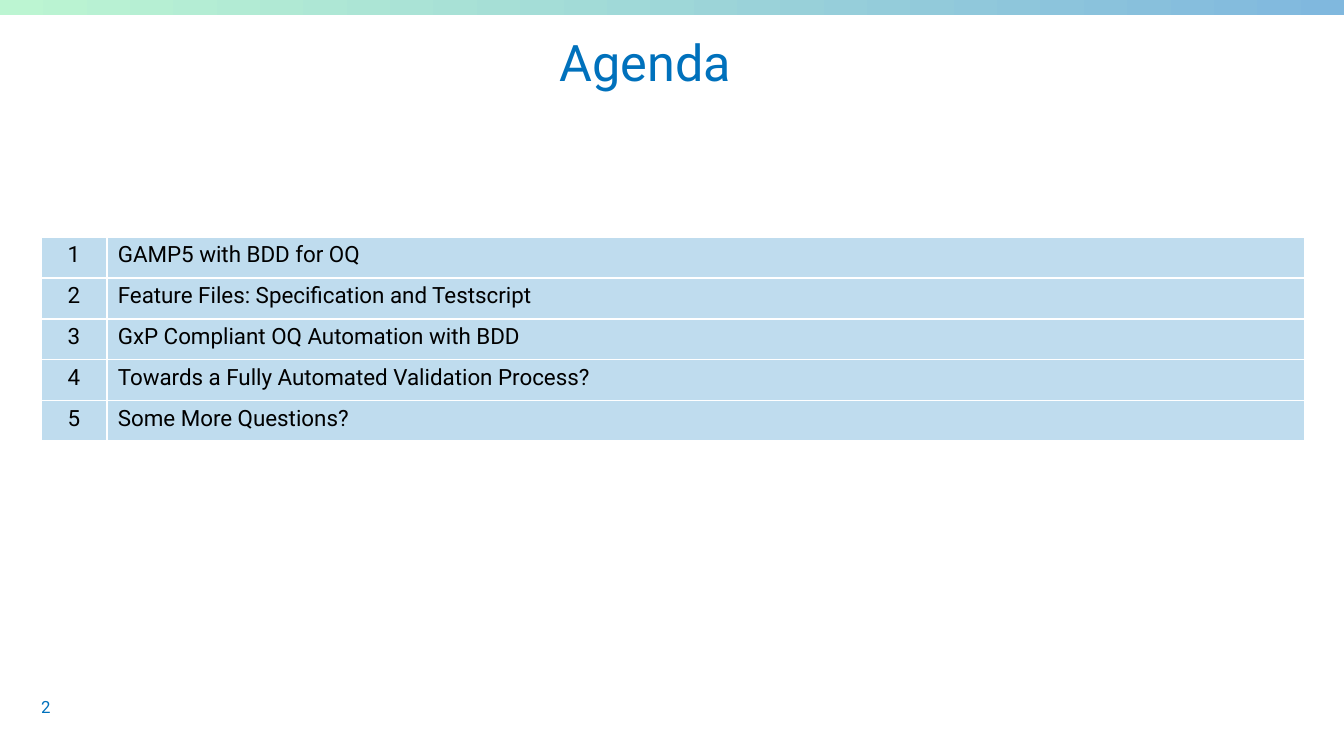
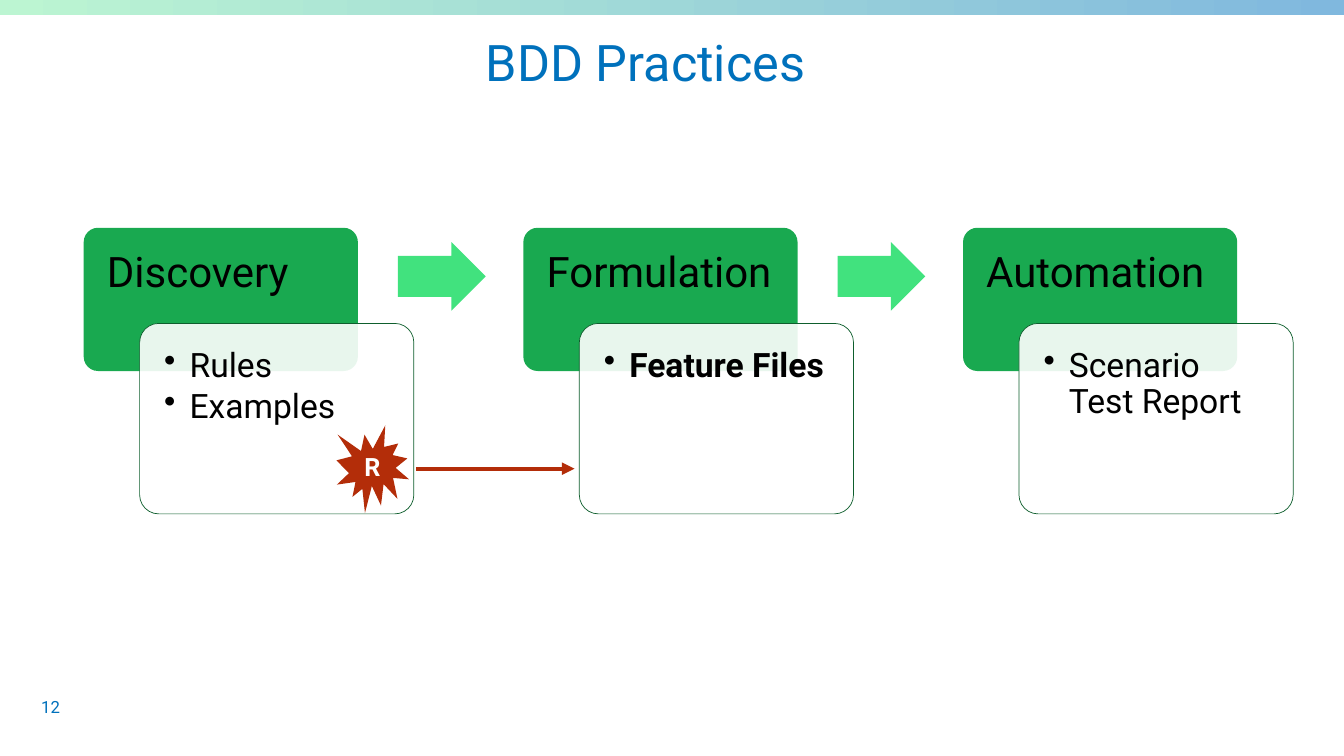
import dataclasses
from typing import Any

import lxml.etree
import pptx
import pptx.dml.color
import pptx.enum.shapes
import pptx.enum.text
import pptx.oxml.ns
import pptx.util

Cm = pptx.util.Cm
Pt = pptx.util.Pt
qn = pptx.oxml.ns.qn
SHAPE = pptx.enum.shapes.MSO_SHAPE
ALIGN = pptx.enum.text.PP_ALIGN
ANCHOR = pptx.enum.text.MSO_ANCHOR

FONT = "Roboto"
BLUE, BLACK, WHITE = "0071BC", "000000", "FFFFFF"
BAND_START, BAND_END = "BCF5D2", "80B8DE"
ROW_FILL = "BFDCEE"
GREEN, LIGHT_GREEN, DARK_GREEN = "19A950", "41E27E", "0E5E2D"
RED = "B32D09"

SLIDE_W, SLIDE_H = 33.87, 19.05
STAGE_LEFT, STAGE_TOP, STAGE_PITCH = 2.11, 5.74, 11.08
STAGE_W, HEAD_H, CARD_H = 6.91, 3.61, 4.8
CARD_DX, CARD_DY = 1.41, 2.41
ARROW_DX, ARROW_DY = 7.92, 0.36


@dataclasses.dataclass(frozen=True)
class Box:
    """Position and size in centimetres."""
    left: float
    top: float
    width: float
    height: float

    def lengths(self) -> tuple:
        return tuple(Cm(v) for v in dataclasses.astuple(self))


@dataclasses.dataclass(frozen=True)
class Stage:
    name: str
    results: tuple[str, ...]
    bold: bool = False


AGENDA = (
    "GAMP5 with BDD for OQ",
    "Feature Files: Specification and Testscript",
    "GxP Compliant OQ Automation with BDD",
    "Towards a Fully Automated Validation Process?",
    "Some More Questions?",
)
STAGES = (
    Stage("Discovery", ("Rules", "Examples")),
    Stage("Formulation", ("Feature Files",), bold=True),
    Stage("Automation", ("Scenario Test Report",)),
)


def rgb(color: str) -> pptx.dml.color.RGBColor:
    return pptx.dml.color.RGBColor.from_string(color)


def write(tf: Any, text: str, size: float, color: str = BLACK, bold: bool = False,
          align: Any = ALIGN.LEFT, spacing: float = 1.0) -> None:
    """Set the text of a frame, one paragraph per line, in one style."""
    tf.text = text
    for p in tf.paragraphs:
        p.alignment = align
        p.line_spacing = spacing
        for r in p.runs:
            r.font.name = FONT
            r.font.size = Pt(size)
            r.font.bold = bold
            r.font.color.rgb = rgb(color)


def set_frame(tf: Any, margin: float, anchor: Any = ANCHOR.TOP) -> None:
    tf.word_wrap = True
    tf.vertical_anchor = anchor
    tf.margin_left = tf.margin_top = tf.margin_right = tf.margin_bottom = Cm(margin)


def add_label(s: Any, box: Box, text: str, size: float, **style: Any) -> Any:
    """Add a blue text box without margins and return its text frame."""
    tf = s.shapes.add_textbox(*box.lengths()).text_frame
    set_frame(tf, 0)
    write(tf, text, size, BLUE, **style)
    return tf


def add_plain_shape(s: Any, kind: Any, box: Box, fill: str) -> Any:
    sp = s.shapes.add_shape(kind, *box.lengths())
    sp.shadow.inherit = False
    sp.line.fill.background()
    sp.fill.solid()
    sp.fill.fore_color.rgb = rgb(fill)
    return sp


def add_slide(prs: Any, title: str, number: int) -> Any:
    """Add a slide with the gradient band, the title and the page number."""
    s = prs.slides.add_slide(prs.slide_layouts[6])
    band = add_plain_shape(s, SHAPE.RECTANGLE, Box(0, 0, SLIDE_W, 0.38), BAND_START)
    band.fill.gradient()
    band.fill.gradient_angle = 0
    for stop, color in zip(band.fill.gradient_stops, (BAND_START, BAND_END)):
        stop.color.rgb = rgb(color)
    tf = add_label(s, Box(1.02, 0.76, 30.5, 1.78), title, 36,
                   align=ALIGN.CENTER, spacing=0.9)
    tf.vertical_anchor = ANCHOR.MIDDLE
    add_label(s, Box(1.04, 17.55, 2.08, 0.41), str(number), 12)
    return s


def add_borders(cell: Any, color: str, width: float) -> None:
    tc_pr = cell._tc.get_or_add_tcPr()
    for side in ("a:lnL", "a:lnR", "a:lnT", "a:lnB"):
        ln = lxml.etree.SubElement(tc_pr, qn(side), w=str(Pt(width)))
        fill = lxml.etree.SubElement(ln, qn("a:solidFill"))
        lxml.etree.SubElement(fill, qn("a:srgbClr"), val=color)


def add_agenda(s: Any, items: tuple[str, ...]) -> None:
    widths, row_h = (1.65, 30.2), 1.03
    box = Box(1.04, 5.97, sum(widths), row_h * len(items))
    table = s.shapes.add_table(len(items), len(widths), *box.lengths()).table
    table.first_row = table.horz_banding = False
    for column, width in zip(table.columns, widths):
        column.width = Cm(width)
    for i, item in enumerate(items):
        table.rows[i].height = Cm(row_h)
        for j, (text, align) in enumerate(((str(i + 1), ALIGN.CENTER), (item, ALIGN.LEFT))):
            cell = table.cell(i, j)
            cell.margin_left = cell.margin_right = Cm(0.28)
            cell.margin_top = cell.margin_bottom = Cm(0.13)
            write(cell.text_frame, text, 16, align=align)
            add_borders(cell, WHITE, 1.5)
            cell.fill.solid()
            cell.fill.fore_color.rgb = rgb(ROW_FILL)


def add_bullets(tf: Any) -> None:
    indent = Cm(0.64)
    for p in tf.paragraphs:
        p.space_after = Pt(3.6)
        p_pr = p._p.get_or_add_pPr()
        p_pr.set("marL", str(indent))
        p_pr.set("indent", str(-indent))
        lxml.etree.SubElement(p_pr, qn("a:buChar"), char="•")


def add_stage(s: Any, stage: Stage, left: float) -> None:
    """Draw the green heading with the translucent result card over it."""
    head = add_plain_shape(s, SHAPE.ROUNDED_RECTANGLE,
                           Box(left, STAGE_TOP, STAGE_W, HEAD_H), GREEN)
    head.adjustments[0] = 0.1
    set_frame(head.text_frame, 0.48)
    head.text_frame.margin_right = Cm(0.2)
    write(head.text_frame, stage.name, 30, spacing=0.9)

    card_box = Box(left + CARD_DX, STAGE_TOP + CARD_DY, STAGE_W, CARD_H)
    card = add_plain_shape(s, SHAPE.ROUNDED_RECTANGLE, card_box, WHITE)
    card.adjustments[0] = 0.1
    color = card._element.spPr.find(qn("a:solidFill")).find(qn("a:srgbClr"))
    lxml.etree.SubElement(color, qn("a:alpha"), val="90000")
    card.line.color.rgb = rgb(DARK_GREEN)
    card.line.width = Pt(0.5)
    set_frame(card.text_frame, 0.48)
    write(card.text_frame, "\n".join(stage.results), 24, bold=stage.bold, spacing=0.9)
    add_bullets(card.text_frame)


def add_stage_arrow(s: Any, left: float) -> None:
    arrow = add_plain_shape(s, SHAPE.RIGHT_ARROW,
                            Box(left + ARROW_DX, STAGE_TOP + ARROW_DY, 2.21, 1.73), LIGHT_GREEN)
    arrow.adjustments[0] = 0.6
    arrow.adjustments[1] = 0.5


def add_review(s: Any) -> None:
    """Draw the review burst and the arrow to the feature files."""
    burst = add_plain_shape(s, SHAPE.EXPLOSION1, Box(8.48, 10.72, 1.83, 2.21), RED)
    set_frame(burst.text_frame, 0, ANCHOR.MIDDLE)
    write(burst.text_frame, "R", 18, WHITE, bold=True, align=ALIGN.CENTER)

    y = Cm(11.81)
    line = s.shapes.add_connector(pptx.enum.shapes.MSO_CONNECTOR.STRAIGHT,
                                  Cm(10.49), y, Cm(14.48), y)
    line.line.color.rgb = rgb(RED)
    line.line.width = Pt(3)
    lxml.etree.SubElement(line.line._get_or_add_ln(), qn("a:tailEnd"), type="triangle")
    lxml.etree.SubElement(line._element.spPr, qn("a:effectLst"))


def main() -> None:
    prs = pptx.Presentation()
    prs.slide_width, prs.slide_height = Cm(SLIDE_W), Cm(SLIDE_H)

    add_agenda(add_slide(prs, "Agenda", 2), AGENDA)

    s = add_slide(prs, "BDD Practices", 12)
    for i, stage in enumerate(STAGES):
        left = STAGE_LEFT + i * STAGE_PITCH
        add_stage(s, stage, left)
        if i < len(STAGES) - 1:
            add_stage_arrow(s, left)
    add_review(s)

    prs.save("out.pptx")


if __name__ == "__main__":
    main()
